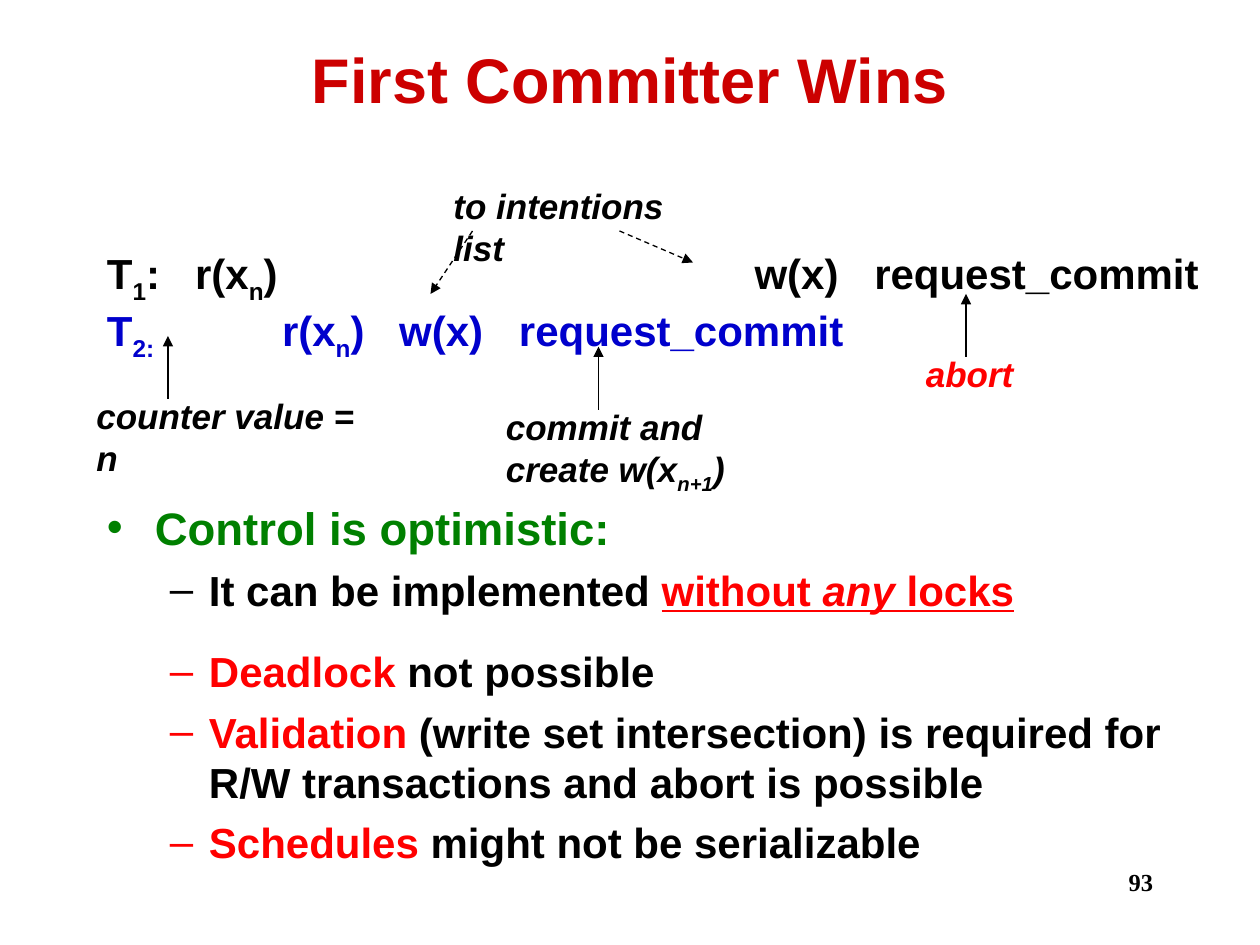
import pptx
import pptx.dml.color
import pptx.enum.dml
import pptx.enum.shapes
import pptx.enum.text
import pptx.oxml
import pptx.oxml.ns
import pptx.util

COLORS = {"title": "CC0000", "ink": "000000", "alert": "FF0000",
          "heading": "008000", "second": "0000CC"}
CELLS_PER_INCH = 12
ALIGN = pptx.enum.text.PP_ALIGN
ANCHOR = pptx.enum.text.MSO_ANCHOR


def color(name):
    return pptx.dml.color.RGBColor.from_string(COLORS[name])


def cells(count):
    return pptx.util.Inches(count / CELLS_PER_INCH)


def add_xml(parent, tag, **attributes):
    child = pptx.oxml.parse_xml(
        f'<a:{tag} xmlns:a="{pptx.oxml.ns.nsdecls("a").split(chr(34))[1]}"/>')
    for key, value in attributes.items():
        child.set(key, str(value))
    parent.append(child)
    return child


class SlideBuilder:
    """Places elements on a grid of twelve cells to the inch."""

    def __init__(self, deck):
        self.page = deck.slides.add_slide(deck.slide_layouts[5])

    def add_runs(self, para, runs, size, ink="ink", font="Arial", italic=False):
        """Each run is a text, or a pair of a text and its own style."""
        for run in runs:
            text, style = (run, {}) if isinstance(run, str) else run
            span = para.add_run()
            span.text = text
            span.font.name = font
            span.font.size = pptx.util.Pt(size)
            span.font.bold = True
            span.font.italic = style.get("italic", italic)
            span.font.underline = style.get("underline", False)
            span.font.color.rgb = color(style.get("ink", ink))
            if style.get("sub"):
                span._r.get_or_add_rPr().set("baseline", "-25000")

    def title(self, text, left, top, width, height):
        box = self.page.shapes.title
        box.left, box.top = cells(left), cells(top)
        box.width, box.height = cells(width), cells(height)
        box.text_frame.vertical_anchor = ANCHOR.MIDDLE
        para = box.text_frame.paragraphs[0]
        para.alignment = ALIGN.CENTER
        self.add_runs(para, [text], 36, "title")

    def text_frame(self, left, top, width, height):
        box = self.page.shapes.add_textbox(
            cells(left), cells(top), cells(width), cells(height))
        box.text_frame.word_wrap = True
        return box.text_frame

    def label(self, runs, place, size=20, align=ALIGN.LEFT, **style):
        para = self.text_frame(*place).paragraphs[0]
        para.alignment = align
        self.add_runs(para, runs, size, **style)

    def schedule(self, rows, place):
        """Each row holds its colour, its tab stops in inches and its runs."""
        frame = self.text_frame(*place)
        for index, (ink, stops, runs) in enumerate(rows):
            para = frame.add_paragraph() if index else frame.paragraphs[0]
            tabs = add_xml(para._p.get_or_add_pPr(), "tabLst")
            for stop in stops:
                add_xml(tabs, "tab", pos=pptx.util.Inches(stop), algn="l")
            self.add_runs(para, runs, 24, ink)

    def bullets(self, items, place):
        """Each item holds its level, its space before in points and its runs."""
        frame = self.text_frame(*place)
        styles = [("•", 0.38, 0.38, 26, "heading"), ("–", 0.81, 0.31, 24, "ink")]
        for index, (level, space, runs) in enumerate(items):
            mark, margin, hang, size, ink = styles[level]
            para = frame.add_paragraph() if index else frame.paragraphs[0]
            para.level = level
            props = para._p.get_or_add_pPr()
            props.set("marL", str(pptx.util.Inches(margin)))
            props.set("indent", str(-pptx.util.Inches(hang)))
            add_xml(props, "buFont", typeface="Arial")
            add_xml(props, "buChar", char=mark)
            if space:
                para.space_before = pptx.util.Pt(space)
            self.add_runs(para, runs, size, ink)

    def arrow(self, start, end, dashed=False):
        connector = self.page.shapes.add_connector(
            pptx.enum.shapes.MSO_CONNECTOR.STRAIGHT,
            *(cells(value) for value in start + end))
        connector.line.color.rgb = color("ink")
        connector.line.width = pptx.util.Pt(0.75)
        if dashed:
            connector.line.dash_style = pptx.enum.dml.MSO_LINE.DASH
        add_xml(connector.line._get_or_add_ln(), "tailEnd", type="triangle")
        add_xml(connector._element.spPr, "effectLst")


def main():
    deck = pptx.Presentation()
    deck.slide_width = pptx.util.Inches(10)
    deck.slide_height = pptx.util.Inches(7.5)
    slide = SlideBuilder(deck)
    sub = {"sub": True}
    alert = {"ink": "alert"}
    underlined = {"ink": "alert", "underline": True}

    slide.title("First Committer Wins", 9, 0, 102, 15)
    slide.bullets([
        (0, 0, ["Control is optimistic:"]),
        (1, 5.6, ["It can be implemented ", ("without ", underlined),
                  ("any", {**underlined, "italic": True}),
                  (" locks", underlined)]),
        (1, 18, [("Deadlock ", alert), "not possible"]),
        (1, 5.6, [("Validation ", alert),
                  "(write set intersection) is required for "
                  "R/W transactions and abort is possible"]),
        (1, 5.6, [("Schedules ", alert), "might not be serializable"]),
    ], (9, 47, 106, 40))
    slide.schedule([
        ("ink", (0.7, 5.14, 6.09),
         ["T", ("1", sub), ":\tr(x", ("n", sub), ")\tw(x)\trequest_commit"]),
        ("second", (1.39, 2.32, 3.27),
         ["T", ("2:", sub), "\tr(x", ("n", sub), ")\tw(x)\trequest_commit"]),
    ], (9, 23, 111, 12))

    notes = [
        (["counter value = n"], (8, 37, 29, 9), "ink"),
        (["commit and create w(x", ("n+1", sub), ")"], (47, 38, 30, 9), "ink"),
        (["abort"], (87, 33, 11, 5), "alert"),
        (["to intentions list"], (42, 17, 28, 9), "ink"),
    ]
    for runs, place, ink in notes:
        slide.label(runs, place, ink=ink, italic=True)

    for column, row in [(16, 38), (57, 39), (92, 34)]:
        slide.arrow((column, row), (column, row - 6))
    slide.arrow((45, 22), (41, 28), dashed=True)
    slide.arrow((59, 22), (66, 25), dashed=True)
    slide.label(["93"], (86, 82, 25, 6), 14, ALIGN.RIGHT, font="Times New Roman")

    deck.save("out.pptx")


if __name__ == "__main__":
    main()
